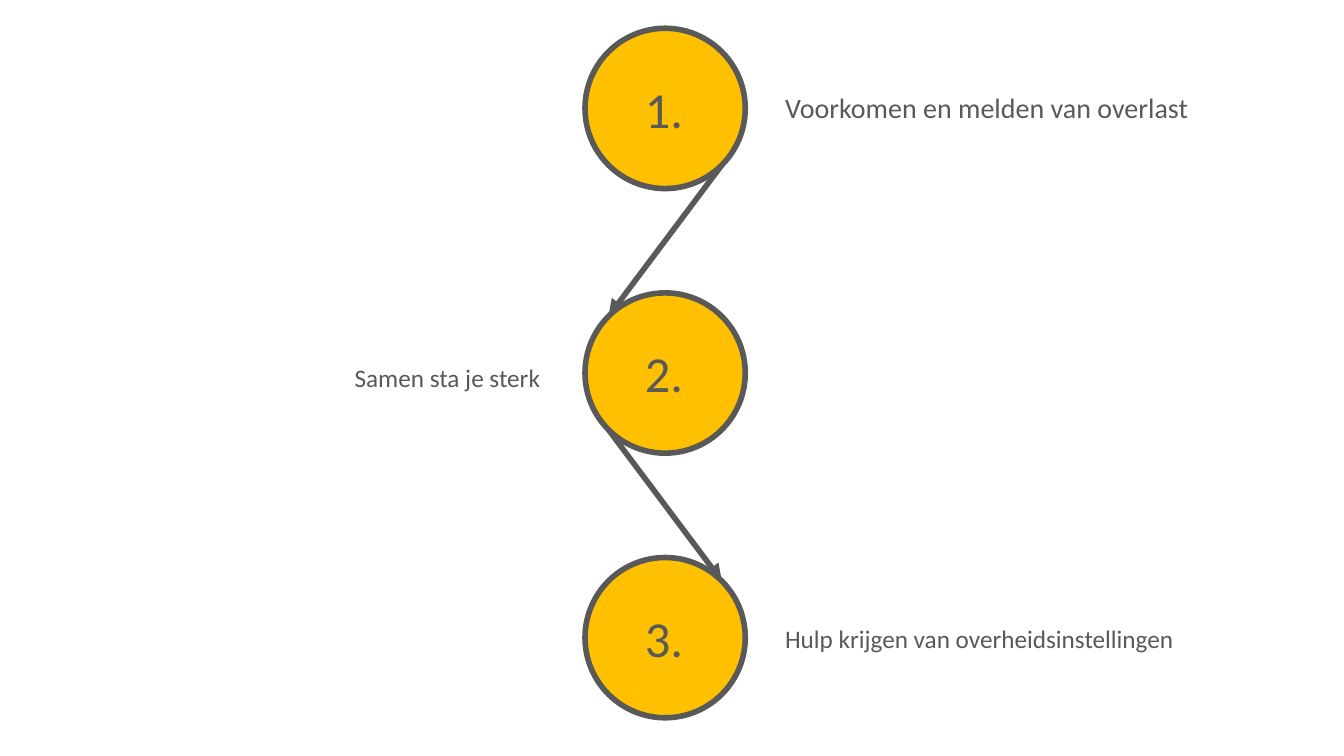
import math

from lxml import etree
from pptx import Presentation
from pptx import util as u
from pptx.dml.color import RGBColor
from pptx.enum import shapes, text
from pptx.oxml.ns import qn

COLORS = {"ink": "595959", "circle": "FFC000"}

CENTER_X = 475.1
FIRST_CENTER_Y = 77.45
STEP_PITCH = 189
DIAMETER = 114.5

# label, left, top, width, height, font size
STEPS = [
    ("Voorkomen en melden van overlast", 553.7, 61.2, 316, 31.5, 20),
    ("Samen sta je sterk", 246.2, 254.9, 286, 29, 18),
    ("Hulp krijgen van overheidsinstellingen", 553.7, 441.4, 294, 29, 18),
]


class StepSlide:
    font = "Calibri"
    line_width = 4

    def __init__(self, slide):
        self.shapes = slide.shapes

    def color(self, name):
        return RGBColor.from_string(COLORS[name])

    def outline(self, line):
        line.color.rgb = self.color("ink")
        line.width = u.Pt(self.line_width)

    def circle(self, center_x, center_y, diameter):
        radius = diameter / 2
        shape = self.shapes.add_shape(
            shapes.MSO_SHAPE.OVAL, u.Pt(center_x - radius), u.Pt(center_y - radius),
            u.Pt(diameter), u.Pt(diameter))
        shape.shadow.inherit = False
        shape.fill.solid()
        shape.fill.fore_color.rgb = self.color("circle")
        self.outline(shape.line)

    def arrow(self, start, end):
        connector = self.shapes.add_connector(
            shapes.MSO_CONNECTOR.STRAIGHT, *(u.Pt(value) for value in (*start, *end)))
        self.outline(connector.line)
        properties = connector._element.spPr
        etree.SubElement(properties.find(qn("a:ln")), qn("a:tailEnd"), type="triangle")
        etree.SubElement(properties, qn("a:effectLst"))

    def text(self, content, *, left, top, width, height, size):
        box = self.shapes.add_textbox(u.Pt(left), u.Pt(top), u.Pt(width), u.Pt(height))
        frame = box.text_frame
        frame.word_wrap = True
        frame.auto_size = text.MSO_AUTO_SIZE.SHAPE_TO_FIT_TEXT
        run = frame.paragraphs[0].add_run()
        run.text = content
        run.font.name = self.font
        run.font.size = u.Pt(size)
        run.font.color.rgb = self.color("ink")


def main():
    presentation = Presentation()
    presentation.slide_width = u.Pt(960)
    presentation.slide_height = u.Pt(540)
    slide = StepSlide(presentation.slides.add_slide(presentation.slide_layouts[6]))

    centers_y = [FIRST_CENTER_Y + index * STEP_PITCH for index in range(len(STEPS))]

    # Arrows run between the diagonal points of the circles, switching sides
    offset = DIAMETER / 2 * math.sqrt(0.5)
    for index, (upper, lower) in enumerate(zip(centers_y, centers_y[1:])):
        side = offset if index % 2 == 0 else -offset
        slide.arrow((CENTER_X + side, upper + offset), (CENTER_X - side, lower - offset))

    for center_y in centers_y:
        slide.circle(CENTER_X, center_y, DIAMETER)

    for label, left, top, width, height, size in STEPS:
        slide.text(label, left=left, top=top, width=width, height=height, size=size)

    number_width, number_height = 43.2, 51
    for number, center_y in enumerate(centers_y, start=1):
        slide.text(f"{number}.", left=CENTER_X - number_width / 2,
                   top=center_y - number_height / 2,
                   width=number_width, height=number_height, size=36)

    presentation.save("out.pptx")


if __name__ == "__main__":
    main()
